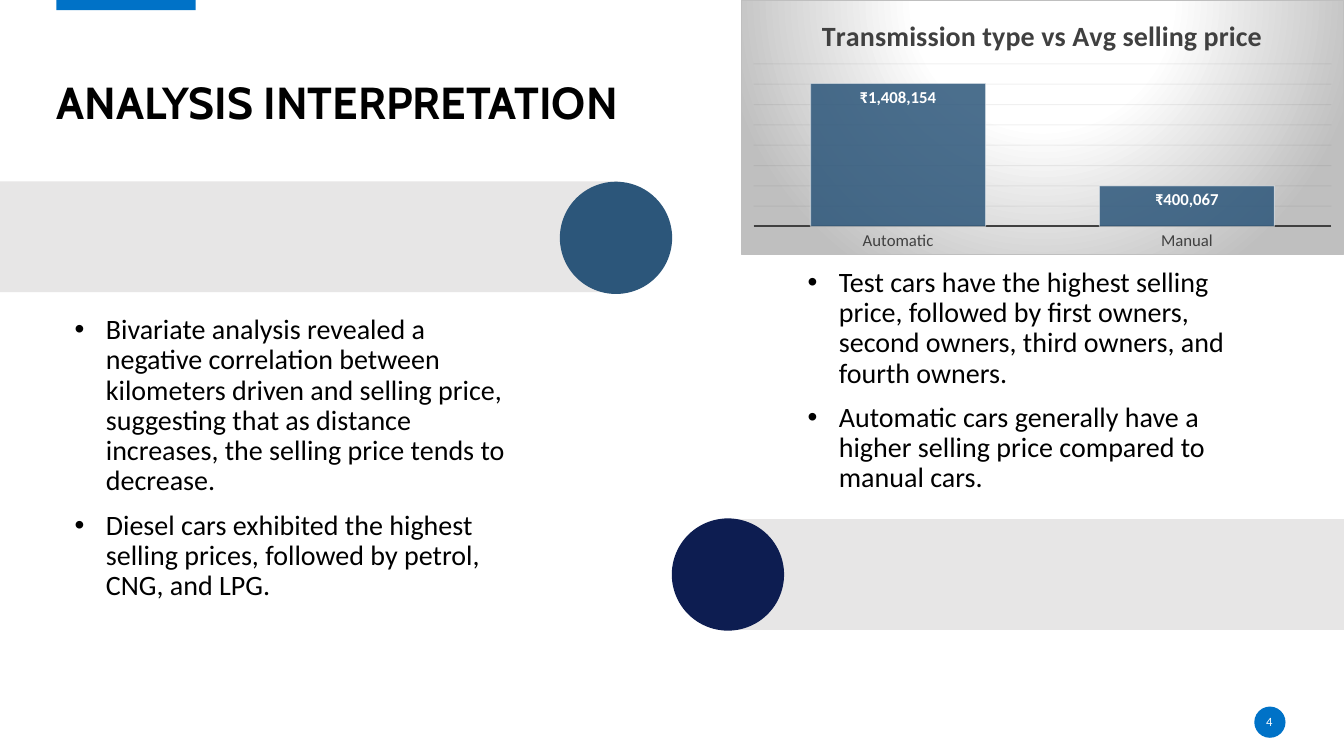
from lxml import etree
from pptx import Presentation
from pptx import util as u
from pptx.chart.data import CategoryChartData
from pptx.dml.color import RGBColor
from pptx.enum import chart as ce, shapes, text
from pptx.oxml import parse_xml
from pptx.oxml.ns import nsdecls, qn

# Colours
BLACK = RGBColor(0, 0, 0)
WHITE = RGBColor(255, 255, 255)
BAND_GREY = RGBColor(0xE7, 0xE6, 0xE6)
ACCENT = RGBColor(0x00, 0x72, 0xC7)
STEEL = RGBColor(0x2C, 0x56, 0x7A)
NAVY = RGBColor(0x0D, 0x1D, 0x51)
AXIS_GREY = RGBColor(0x40, 0x40, 0x40)
GRID = RGBColor(0x0D, 0x0D, 0x0D)

# Content
HEADING = "ANALYSIS INTERPRETATION"
LEFT_POINTS = [
    "Bivariate analysis revealed a negative correlation between kilometers driven "
    "and selling price, suggesting that as distance increases, the selling price "
    "tends to decrease.",
    "Diesel cars exhibited the highest selling prices, followed by petrol, CNG, and LPG.",
]
RIGHT_POINTS = [
    "Test cars have the highest selling price, followed by first owners, second "
    "owners, third owners, and fourth owners.",
    "Automatic cars generally have a higher selling price compared to manual cars.",
]
PAGE_NUMBER = "4"
CHART_TITLE = "Transmission type vs Avg selling price"
PRICES = {"Automatic": 1408154, "Manual": 400067}

# Places: left, top, width, height in inches
RECT, OVAL = shapes.MSO_SHAPE.RECTANGLE, shapes.MSO_SHAPE.OVAL
DECOR = [
    (RECT, BAND_GREY, (7.22, 5.15, 6.12, 1.1)),
    (RECT, BAND_GREY, (-0.09, 1.8, 6.24, 1.1)),
    (RECT, ACCENT, (0.56, -0.02, 1.38, 0.12)),
    (OVAL, ACCENT, (12.44, 7.01, 0.31, 0.31)),
    (OVAL, STEEL, (5.56, 1.81, 1.1, 1.1)),
    (OVAL, NAVY, (6.67, 5.15, 1.1, 1.1)),
]
HEADING_BOX = (0.56, 0.27, 12.19, 1.01)
LEFT_BOX = (0.74, 3.13, 4.46, 3.11)
RIGHT_BOX = (8.01, 1.8, 4.46, 3.1)
NUMBER_BOX = (12.43, 7.06, 0.32, 0.2)
CHART_BOX = (7.35, 0, 5.98, 2.53)
PLOT_AREA = {"x": 0.02, "y": 0.25, "w": 0.96, "h": 0.64}

# Formats
FRAME = dict(margin_left=0, margin_right=0, margin_top=0, margin_bottom=0,
             word_wrap=True, auto_size=text.MSO_AUTO_SIZE.NONE)
HEADING_FONT = dict(name="Cabin", size=u.Pt(32), bold=True)
BODY_FONT = dict(name="Calibri", size=u.Pt(20))
NUMBER_FONT = dict(name="Calibri", size=u.Pt(9))
CHART_FONT = dict(name="Calibri", size=u.Pt(10))
CHART_TITLE_FONT = dict(name="Calibri", size=u.Pt(20), bold=True)
CATEGORY_FONT = dict(name="Calibri", size=u.Pt(12))
LABEL_FONT = dict(name="Calibri", size=u.Pt(12), bold=True)
BODY_PARAGRAPH = dict(line_spacing=0.9, space_before=u.Pt(10))
HEADING_PARAGRAPH = dict(line_spacing=0.9, alignment=text.PP_ALIGN.LEFT)
NUMBER_PARAGRAPH = dict(alignment=text.PP_ALIGN.CENTER)
BULLET_INDENT = u.Inches(0.31)


def apply(target, values):
    for key, value in values.items():
        setattr(target, key, value)


def style_font(font, values, color):
    apply(font, values)
    font.color.rgb = color


def style_line(line, color, width):
    line.color.rgb = color
    line.width = u.Pt(width)


def inches(box):
    return [u.Inches(v) for v in box]


def write(holder, box, lines, anchor, paragraph_format, font, color=BLACK, bullets=False):
    apply(holder, dict(zip(("left", "top", "width", "height"), inches(box))))
    frame = holder.text_frame
    apply(frame, {**FRAME, "vertical_anchor": anchor})
    frame.text = "\n".join(lines)
    for paragraph in frame.paragraphs:
        apply(paragraph, paragraph_format)
        style_font(paragraph.runs[0].font, font, color)
        if bullets:
            props = paragraph._p.get_or_add_pPr()
            props.set("marL", str(BULLET_INDENT))
            props.set("indent", str(-BULLET_INDENT))
            etree.SubElement(props, qn("a:buFont")).set("typeface", "Arial")
            etree.SubElement(props, qn("a:buChar")).set("char", "•")


def set_opacity(root, query, percent):
    for color in root.xpath(query):
        etree.SubElement(color, qn("a:alpha")).set("val", str(percent * 1000))


def add_price_chart(slide):
    data = CategoryChartData()
    data.categories = list(PRICES)
    data.add_series("Series 1", list(PRICES.values()))
    chart = slide.shapes.add_chart(
        ce.XL_CHART_TYPE.COLUMN_CLUSTERED, *inches(CHART_BOX), data).chart
    chart.has_legend = False
    style_font(chart.font, CHART_FONT, BLACK)
    chart.has_title = True
    chart.chart_title.include_in_layout = False
    title_frame = chart.chart_title.text_frame
    title_frame.text = CHART_TITLE
    style_font(title_frame.paragraphs[0].runs[0].font, CHART_TITLE_FONT, AXIS_GREY)

    # Axes
    category = chart.category_axis
    category.major_tick_mark = ce.XL_TICK_MARK.NONE
    style_font(category.tick_labels.font, CATEGORY_FONT, AXIS_GREY)
    style_line(category.format.line, AXIS_GREY, 1.5)
    apply(chart.value_axis, dict(visible=False, has_major_gridlines=True, minimum_scale=0,
                                 maximum_scale=1600000, major_unit=200000))
    style_line(chart.value_axis.major_gridlines.format.line, GRID, 0.75)

    # Columns and labels
    plot = chart.plots[0]
    apply(plot, dict(gap_width=65, vary_by_categories=False, has_data_labels=True))
    labels = plot.data_labels
    apply(labels, dict(show_value=True, position=ce.XL_LABEL_POSITION.INSIDE_END,
                       number_format='"₹"#,##0', number_format_is_linked=False))
    style_font(labels.font, LABEL_FONT, WHITE)
    columns = plot.series[0].format
    columns.fill.solid()
    columns.fill.fore_color.rgb = STEEL
    style_line(columns.line, WHITE, 0.75)
    root = chart.element
    set_opacity(root, ".//c:ser/c:spPr/a:solidFill/a:srgbClr", 85)
    set_opacity(root, ".//c:ser/c:spPr/a:ln/a:solidFill/a:srgbClr", 50)
    set_opacity(root, ".//c:majorGridlines//a:srgbClr", 5)

    # Plot position
    plot_area = root.xpath(".//c:plotArea")[0]
    for old in plot_area.findall(qn("c:layout")):
        plot_area.remove(old)
    extent = "".join(f'<c:{key} val="{value}"/>' for key, value in PLOT_AREA.items())
    plot_area.insert(0, parse_xml(
        f'<c:layout {nsdecls("c")}><c:manualLayout><c:layoutTarget val="inner"/>'
        f'<c:xMode val="edge"/><c:yMode val="edge"/>{extent}</c:manualLayout></c:layout>'))

    # Radial background
    stops = "".join(f'<a:gs pos="{pos}000"><a:srgbClr val="{color}"/></a:gs>'
                    for pos, color in ((0, "FFFFFF"), (39, "FFFFFF"), (100, "BFBFBF")))
    root.find(qn("c:chart")).addnext(parse_xml(
        f'<c:spPr {nsdecls("c", "a")}><a:gradFill><a:gsLst>{stops}</a:gsLst>'
        '<a:path path="circle"><a:fillToRect l="50000" t="-80000" r="50000" b="180000"/>'
        '</a:path></a:gradFill><a:ln w="9525"><a:solidFill><a:srgbClr val="BFBFBF"/>'
        '</a:solidFill></a:ln></c:spPr>'))


def main():
    deck = Presentation()
    deck.slide_width, deck.slide_height = inches((13.33, 7.5))
    slide = deck.slides.add_slide(deck.slide_layouts[3])
    heading, left_body, right_body = slide.placeholders

    # Bands, tab and circles
    for kind, color, box in DECOR:
        part = slide.shapes.add_shape(kind, *inches(box))
        part.shadow.inherit = False
        part.fill.solid()
        part.fill.fore_color.rgb = color
        if color in (STEEL, NAVY):
            style_line(part.line, color, 1)
        else:
            part.line.fill.background()

    # Text
    top, middle, bottom = (text.MSO_ANCHOR.TOP, text.MSO_ANCHOR.MIDDLE, text.MSO_ANCHOR.BOTTOM)
    write(heading, HEADING_BOX, [HEADING], bottom, HEADING_PARAGRAPH, HEADING_FONT)
    write(left_body, LEFT_BOX, LEFT_POINTS, top, BODY_PARAGRAPH, BODY_FONT, bullets=True)
    write(right_body, RIGHT_BOX, RIGHT_POINTS, bottom, BODY_PARAGRAPH, BODY_FONT, bullets=True)
    number = slide.shapes.add_textbox(*inches(NUMBER_BOX))
    write(number, NUMBER_BOX, [PAGE_NUMBER], middle, NUMBER_PARAGRAPH, NUMBER_FONT, WHITE)

    add_price_chart(slide)
    deck.save("out.pptx")


if __name__ == "__main__":
    main()
